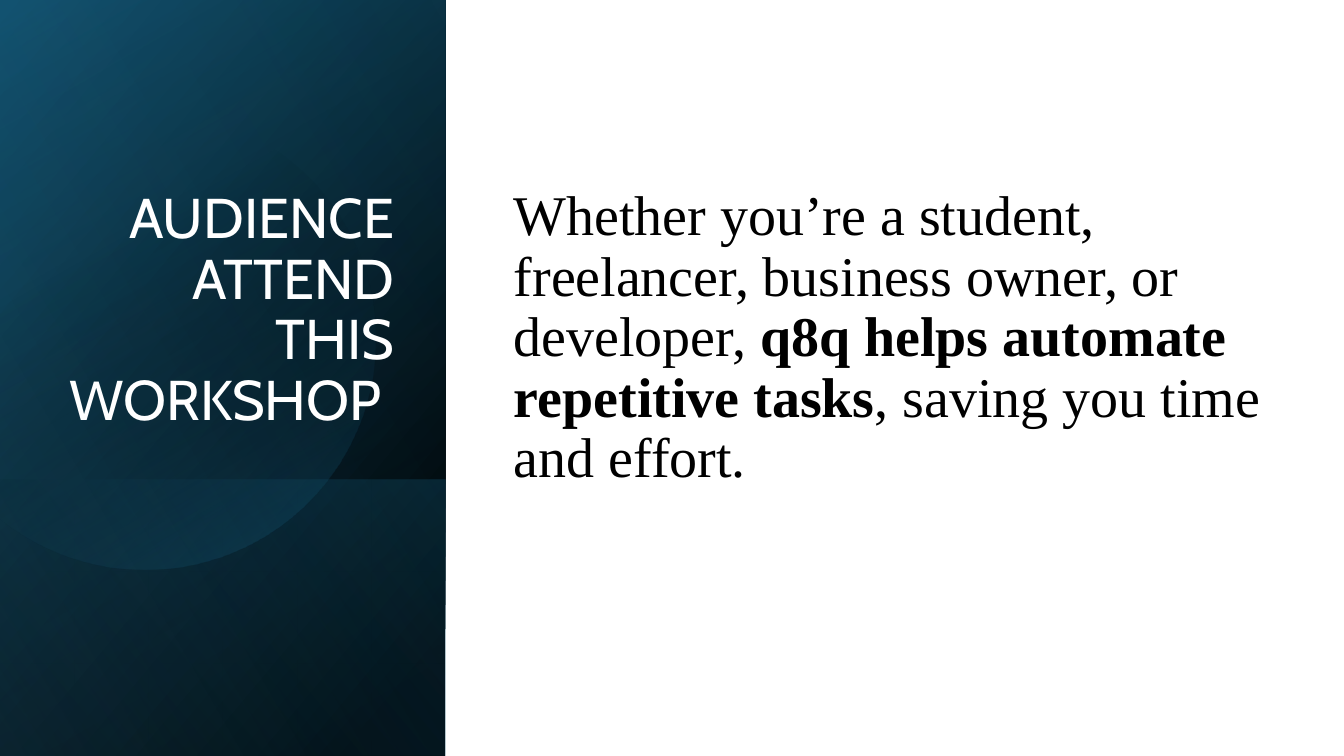
import math
from lxml import etree
from pptx import Presentation
from pptx import util as u
from pptx.dml.color import RGBColor
from pptx.enum import shapes, text
from pptx.oxml.ns import qn

Pt = u.Pt
WHITE = RGBColor(0xFF, 0xFF, 0xFF)
BLACK = RGBColor(0, 0, 0)
NAVY = RGBColor(0x10, 0x48, 0x62)
TEAL = RGBColor(0x15, 0x60, 0x82)
SKY = RGBColor(0x46, 0xB1, 0xE1)


def shade(shape, turn, *stops):
    """Fill a shape with two stops of place, colour and opacity, turned clockwise."""
    shape.shadow.inherit = False
    shape.line.fill.background()
    shape.fill.gradient()
    shape.fill.gradient_angle = 360 - turn
    for stop, (place, color, _) in zip(shape.fill.gradient_stops, stops):
        stop.position = place / 100
        stop.color.rgb = color
    tints = shape._element.spPr.iter(qn("a:srgbClr"))
    for tint, (_, _, alpha) in zip(tints, stops):
        if alpha < 100:
            etree.SubElement(tint, qn("a:alpha")).set("val", str(alpha * 1000))


def block(slide, x, y, w, h):
    """Add a plain rectangle."""
    return slide.shapes.add_shape(
        shapes.MSO_SHAPE.RECTANGLE, Pt(x), Pt(y), Pt(w), Pt(h))


def disc(slide, x, y, h):
    """Add a large disc cut off by the left edge of the panel."""
    mid, r = 103.7, 0.304 * h
    top = y + 0.449 * h
    half = math.acos(-mid / r)
    turns = [half * (i / 60 - 1) for i in range(121)]
    dots = [(Pt(x + mid + r * math.cos(t)), Pt(top + r * math.sin(t)))
            for t in turns]
    pen = slide.shapes.build_freeform(*dots[0])
    pen.add_line_segments(dots[1:], close=True)
    return pen.convert_to_shape()


def panel(slide, x, y, w, h):
    """Build the dark side panel from layered gradients."""
    shade(block(slide, x, y, w, h), 220, (8, BLACK, 100), (100, NAVY, 100))
    shade(block(slide, x, y, w, h), 240, (0, BLACK, 0), (99, TEAL, 46))
    low = 197.3
    shade(block(slide, x, y + h - low, w, low), 140,
          (2, TEAL, 29), (100, BLACK, 30))
    shade(disc(slide, x, y, h), 60, (29, BLACK, 0), (100, TEAL, 43))
    shade(block(slide, x, y, w, h), 150, (0, BLACK, 0), (99, SKY, 11))


def words(slide, x, y, w, h, anchor, face, color, runs):
    """Add a wrapped paragraph of plain and bold runs."""
    frame = slide.shapes.add_textbox(Pt(x), Pt(y), Pt(w), Pt(h)).text_frame
    frame.word_wrap = True
    frame.vertical_anchor = anchor
    para = frame.paragraphs[0]
    para.line_spacing = 0.9
    para.font.size = Pt(40)
    para.font.name = face
    para.font.color.rgb = color
    for part, bold in runs:
        run = para.add_run()
        run.text = part
        if bold:
            run.font.bold = True
    return para


def title(slide, x, y, w, h):
    """Set the right-aligned heading."""
    para = words(slide, x, y, w, h, text.MSO_ANCHOR.BOTTOM, "Cabin", WHITE,
                 [("AUDIENCE ATTEND THIS WORKSHOP ", False)])
    para.alignment = text.PP_ALIGN.RIGHT


def body(slide, x, y, w, h):
    """Set the message beside the panel."""
    para = words(slide, x, y, w, h, text.MSO_ANCHOR.MIDDLE,
                 "Times New Roman", BLACK, [
                     ("Whether you’re a student, freelancer, "
                      "business owner, or developer, ", False),
                     ("q8q helps automate repetitive tasks", True),
                     (", saving you time and effort.", False)])
    para.space_before = Pt(10)


def main():
    """Build and save the slide."""
    deck = Presentation()
    deck.slide_width, deck.slide_height = Pt(960), Pt(540)
    slide = deck.slides.add_slide(deck.slide_layouts[6])
    slide.background.fill.solid()
    slide.background.fill.fore_color.rgb = WHITE
    panel(slide, 0, 0, 318.2, 540)
    title(slide, 36.7, 46, 252, 266.4)
    body(slide, 360, 110, 568, 263.5)
    deck.save("out.pptx")


if __name__ == "__main__":
    main()
